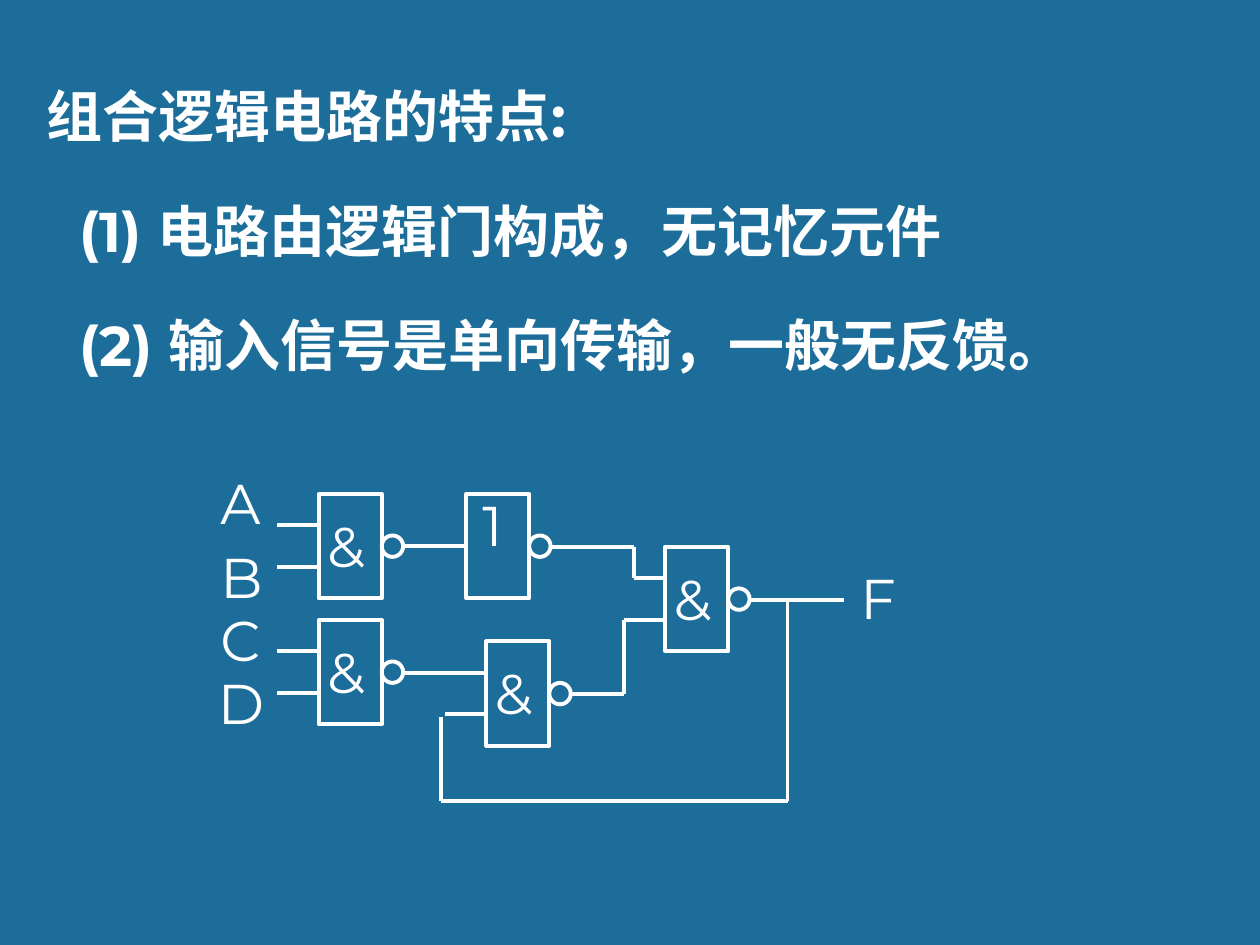
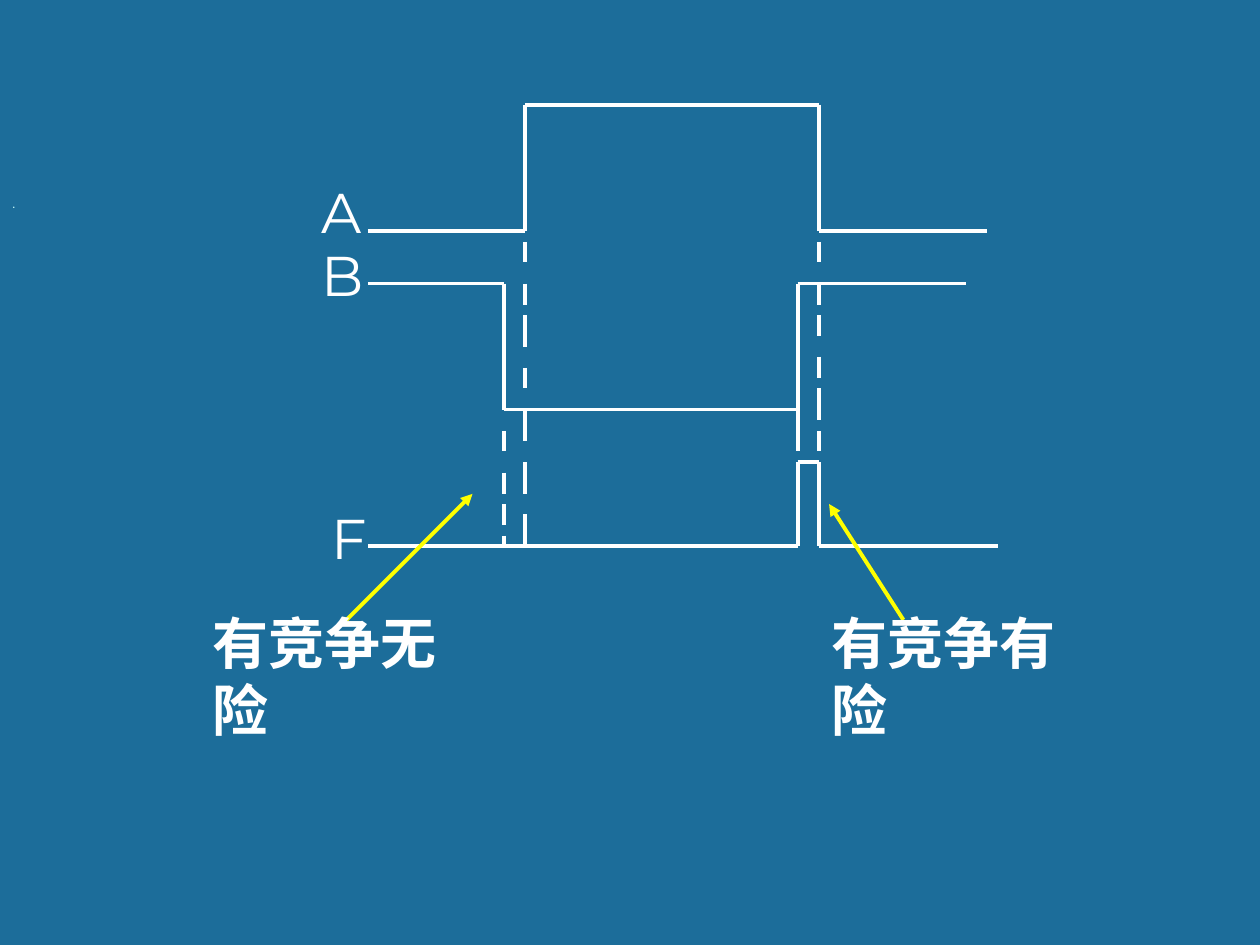
from itertools import pairwise
from pptx import Presentation
from pptx.dml.color import RGBColor
from pptx.enum.shapes import MSO_CONNECTOR, MSO_SHAPE
from pptx.enum.text import MSO_ANCHOR
from pptx.oxml.ns import qn
from pptx.util import Inches, Pt
from lxml import etree

COLORS = {"back": "1C6D9A", "ink": "FFFFFF", "arrow": "FFFF00", "dot": "CCFFFF"}
FONT = "Montserrat"
LINE_WIDTH = 2.25
TEXT_SIZE = 32
LABEL_HEIGHT = 0.64

FEATURES = [
    ("组合逻辑电路的特点:", 0),
    ("(1) 电路由逻辑门构成，无记忆元件", 0.26),
    ("(2) 输入信号是单向传输，一般无反馈。", 0.26),
]

GATE_WIDTH, GATE_HEIGHT, BUBBLE = 0.5, 0.83, 0.17
INPUT_OFFSETS = (0.25, 0.58)
AND_GATES = [
    (2.53, 3.92, (2.2, 2.2)),
    (2.53, 4.92, (2.2, 2.2)),
    (3.86, 5.09, (3.2, 3.53)),
    (5.28, 4.34, (5.03, 4.95)),
]
INVERTER = (3.7, 3.92)
WIRES = [
    [(3.5, 5.69), (3.5, 6.36), (6.25, 6.36), (6.25, 4.77)],
    [(4.36, 4.34), (5.03, 4.34), (5.03, 4.59)],
    [(4.53, 5.51), (4.95, 5.51), (4.95, 4.92)],
    [(5.95, 4.76), (6.7, 4.76)],
]
CIRCUIT_LABELS = [
    ("A", 1.65, 3.67, 0.48),
    ("B", 1.65, 4.26, 0.49),
    ("C", 1.65, 4.76, 0.48),
    ("D", 1.63, 5.26, 0.52),
    ("F", 6.73, 4.42, 0.43),
]

WAVES = [
    [(2.92, 1.83), (4.17, 1.83), (4.17, 0.83), (6.5, 0.83), (6.5, 1.83), (7.83, 1.83)],
    [(2.92, 2.25), (4, 2.25), (4, 3.25), (6.33, 3.25), (6.33, 2.25), (7.67, 2.25)],
    [(2.92, 4.33), (6.33, 4.33), (6.33, 3.67), (6.5, 3.67), (6.5, 4.33), (7.92, 4.33)],
]
DASHES = {
    4: [(3.42, 3.58), (3.75, 3.92), (4, 4.17), (4.25, 4.33)],
    4.17: [(1.92, 2.08), (2.25, 2.42), (2.5, 2.75), (2.92, 3.08),
           (3.25, 3.5), (3.67, 3.92), (4.08, 4.33)],
    6.33: [(3.25, 3.58), (3.75, 4), (4.17, 4.33)],
    6.5: [(1.92, 2.08), (2.25, 2.42), (2.5, 2.67), (2.83, 3),
          (3.08, 3.33), (3.42, 3.58)],
}
ARROWS = [((7.17, 4.92), (6.58, 4)), ((2.75, 4.92), (3.75, 3.92))]
VERDICTS = [("有竞争无险", 1.59, 4.78, 2.42), ("有竞争有险", 6.5, 4.78, 2.42)]
WAVE_LABELS = [
    ("A", 2.45, 1.36, 0.48),
    ("B", 2.45, 1.86, 0.49),
    ("F", 2.53, 3.95, 0.43),
]


def color(name):
    return RGBColor.from_string(COLORS[name])


def add_page(deck):
    page = deck.slides.add_slide(deck.slide_layouts[6])
    page.background.fill.solid()
    page.background.fill.fore_color.rgb = color("back")
    return page


def style_text(para, size=TEXT_SIZE, bold=False, ink="ink"):
    for span in para.runs:
        span.font.name = FONT
        span.font.size = Pt(size)
        span.font.bold = bold
        span.font.color.rgb = color(ink)


def add_text(page, text, left, top, width, height=LABEL_HEIGHT, wrap=False, **style):
    box = page.shapes.add_textbox(*map(Inches, (left, top, width, height)))
    frame = box.text_frame
    frame.word_wrap = wrap
    frame.text = text
    for para in frame.paragraphs:
        style_text(para, **style)
    return frame


def add_line(page, start, end, ink="ink"):
    line = page.shapes.add_connector(MSO_CONNECTOR.STRAIGHT, *map(Inches, (*start, *end)))
    line.line.color.rgb = color(ink)
    line.line.width = Pt(LINE_WIDTH)
    etree.SubElement(line._element.spPr, qn("a:effectLst"))
    return line


def add_trace(page, points):
    for start, end in pairwise(points):
        add_line(page, start, end)


def add_arrow(page, start, end):
    arrow = add_line(page, start, end, "arrow")
    etree.SubElement(arrow.line._get_or_add_ln(), qn("a:tailEnd"), type="triangle")


def add_outline(page, kind, left, top, width, height):
    shape = page.shapes.add_shape(kind, *map(Inches, (left, top, width, height)))
    shape.shadow.inherit = False
    shape.fill.background()
    shape.line.color.rgb = color("ink")
    shape.line.width = Pt(LINE_WIDTH)
    return shape


def add_gate(page, left, top):
    body = add_outline(page, MSO_SHAPE.RECTANGLE, left, top, GATE_WIDTH, GATE_HEIGHT)
    bubble_top = top + (GATE_HEIGHT - BUBBLE) / 2
    add_outline(page, MSO_SHAPE.OVAL, left + GATE_WIDTH, bubble_top, BUBBLE, BUBBLE)
    return body


def build_circuit(deck):
    page = add_page(deck)
    frame = add_text(page, "\n".join(text for text, _ in FEATURES),
                     0.27, 0.33, 9.29, 6.88, wrap=True, bold=True)
    for number, (para, (_, indent)) in enumerate(zip(frame.paragraphs, FEATURES)):
        para.line_spacing = 1.5
        para.space_before = Pt(8 if number else 0)
        para._p.get_or_add_pPr().set("marL", str(Inches(indent)))

    for left, top, starts in AND_GATES:
        add_gate(page, left, top)
        for start, offset in zip(starts, INPUT_OFFSETS):
            add_line(page, (start, top + offset), (left, top + offset))
        add_text(page, "&", left - 0.03, top + 0.09, GATE_WIDTH)

    left, top = INVERTER
    inverter = add_gate(page, left, top)
    middle = top + GATE_HEIGHT / 2
    add_line(page, (3.2, middle), (left, middle)).end_connect(inverter, 1)
    add_text(page, "1", left + 0.03, top - 0.08, 0.44)

    for wire in WIRES:
        add_trace(page, wire)
    for label in CIRCUIT_LABELS:
        add_text(page, *label)


def build_timing(deck):
    page = add_page(deck)
    dot = add_text(page, ".", 0, 1.5, 8.5, 0.23, wrap=True, size=8, ink="dot")
    dot.vertical_anchor = MSO_ANCHOR.BOTTOM
    for wave in WAVES:
        add_trace(page, wave)
    for x, spans in DASHES.items():
        for top, bottom in spans:
            add_line(page, (x, top), (x, bottom))
    for start, end in ARROWS:
        add_arrow(page, start, end)
    for verdict in VERDICTS:
        add_text(page, *verdict, bold=True)
    for label in WAVE_LABELS:
        add_text(page, *label)


def main():
    deck = Presentation()
    deck.slide_width, deck.slide_height = Inches(10), Inches(7.5)
    build_circuit(deck)
    build_timing(deck)
    deck.save("out.pptx")


if __name__ == "__main__":
    main()
